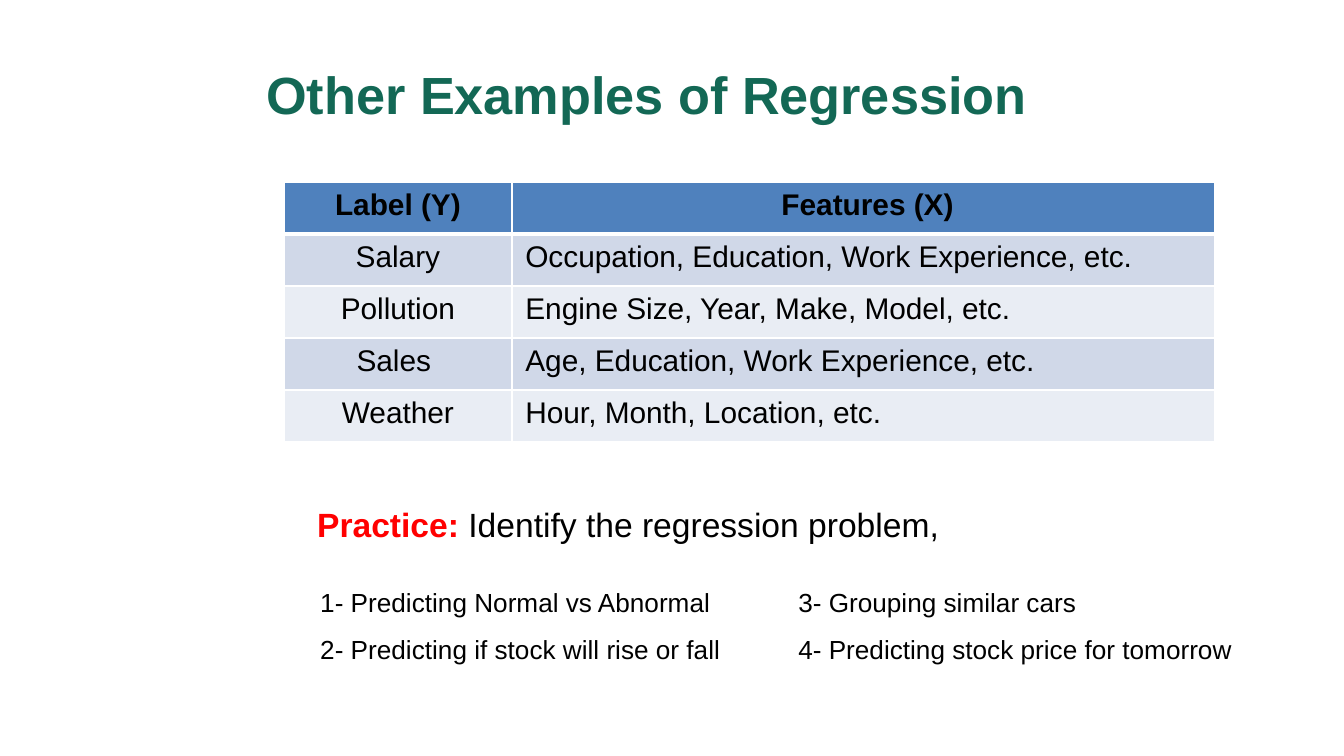
from lxml import etree
from pptx import Presentation
from pptx import util as u
from pptx.dml.color import RGBColor
from pptx.enum import text
from pptx.oxml.ns import qn

EMU_PER_PX = 914400 / 134.4
COLORS = {
    "title": "136855",
    "ink": "000000",
    "accent": "FF0000",
    "header": "4F81BD",
    "odd": "D0D8E8",
    "even": "E9EDF4",
    "border": "FFFFFF",
}
LEFT, CENTER = text.PP_ALIGN.LEFT, text.PP_ALIGN.CENTER


def px(length):
    return u.Emu(round(length * EMU_PER_PX))


def color(name):
    return RGBColor.from_string(COLORS[name])


class RegressionSlide:
    def __init__(self, deck):
        self.font_name = "Arial"
        self.slide = deck.slides.add_slide(deck.slide_layouts[5])

    def style(self, font, size, ink="ink", bold=False):
        font.name = self.font_name
        font.size = u.Pt(size)
        font.bold = bold
        font.color.rgb = color(ink)

    def title(self, words, left, top, width, height):
        title = self.slide.shapes.title
        title.left, title.top = px(left), px(top)
        title.width, title.height = px(width), px(height)
        title.text_frame.text = words
        title.text_frame.vertical_anchor = text.MSO_ANCHOR.MIDDLE
        heading = title.text_frame.paragraphs[0]
        heading.alignment = LEFT
        self.style(heading.font, 28, "title", True)

    def text_frame(self, left, top, width, height):
        box = self.slide.shapes.add_textbox(px(left), px(top), px(width), px(height))
        box.text_frame.word_wrap = True
        return box.text_frame

    def prompt(self, lead, question, *place):
        line = self.text_frame(*place).paragraphs[0]
        for words, ink, bold in ((lead, "accent", True), (question, "ink", False)):
            run = line.add_run()
            run.text = words
            self.style(run.font, 18, ink, bold)

    def two_column_list(self, lines, tab, *place):
        """Write each pair of items on one line, the second at the tab stop."""
        frame = self.text_frame(*place)
        frame.text = "\n".join("\t".join(pair) for pair in lines)
        for line in frame.paragraphs:
            line.line_spacing = 1.5
            properties = line._p.get_or_add_pPr()
            stops = etree.SubElement(properties, qn("a:tabLst"))
            etree.SubElement(stops, qn("a:tab"), pos=str(px(tab)), algn="l")
            self.style(line.font, 14)

    def borders(self, cell, widths):
        """Draw the left, right, top and bottom borders, widths in points."""
        properties = cell._tc.get_or_add_tcPr()
        for index, (side, width) in enumerate(zip("LRTB", widths)):
            line = etree.Element(qn(f"a:ln{side}"), w=str(u.Pt(width)))
            fill = etree.SubElement(line, qn("a:solidFill"))
            etree.SubElement(fill, qn("a:srgbClr"), val=COLORS["border"])
            properties.insert(index, line)

    def table(self, rows, column_widths, row_height, left, top):
        table = self.slide.shapes.add_table(
            len(rows), len(column_widths), px(left), px(top),
            px(sum(column_widths)), px(row_height * len(rows))).table
        for column, width in zip(table.columns, column_widths):
            column.width = px(width)
        for r, row in enumerate(rows):
            table.rows[r].height = px(row_height)
            fill = "header" if r == 0 else "odd" if r % 2 else "even"
            for c, words in enumerate(row):
                cell = table.cell(r, c)
                cell.text = words
                cell.fill.solid()
                cell.fill.fore_color.rgb = color(fill)
                self.borders(cell, (1, 1, 3 if r == 1 else 1, 3 if r == 0 else 1))
                entry = cell.text_frame.paragraphs[0]
                entry.alignment = CENTER if r == 0 or c == 0 else LEFT
                self.style(entry.font, 16, bold=r == 0)


def main():
    deck = Presentation()
    deck.slide_width, deck.slide_height = px(1344), px(756)
    page = RegressionSlide(deck)
    page.title("Other Examples of Regression", 253, 31, 1024, 126)
    page.table([
        ("Label (Y)", " Features (X)"),
        ("Salary", "Occupation, Education, Work Experience, etc."),
        ("Pollution", "Engine Size, Year, Make, Model, etc."),
        ("Sales ", "Age, Education, Work Experience, etc."),
        ("Weather", "Hour, Month, Location, etc."),
    ], (228, 703), 52, 284, 182)
    page.prompt("Practice: ", "Identify the regression problem,", 304, 497, 964, 54)
    page.two_column_list([
        ("1- Predicting Normal vs Abnormal", "3- Grouping similar cars"),
        ("2- Predicting if stock will rise or fall",
         "4- Predicting stock price for tomorrow"),
    ], 478, 307, 564, 960, 109)
    deck.save("out.pptx")


if __name__ == "__main__":
    main()
